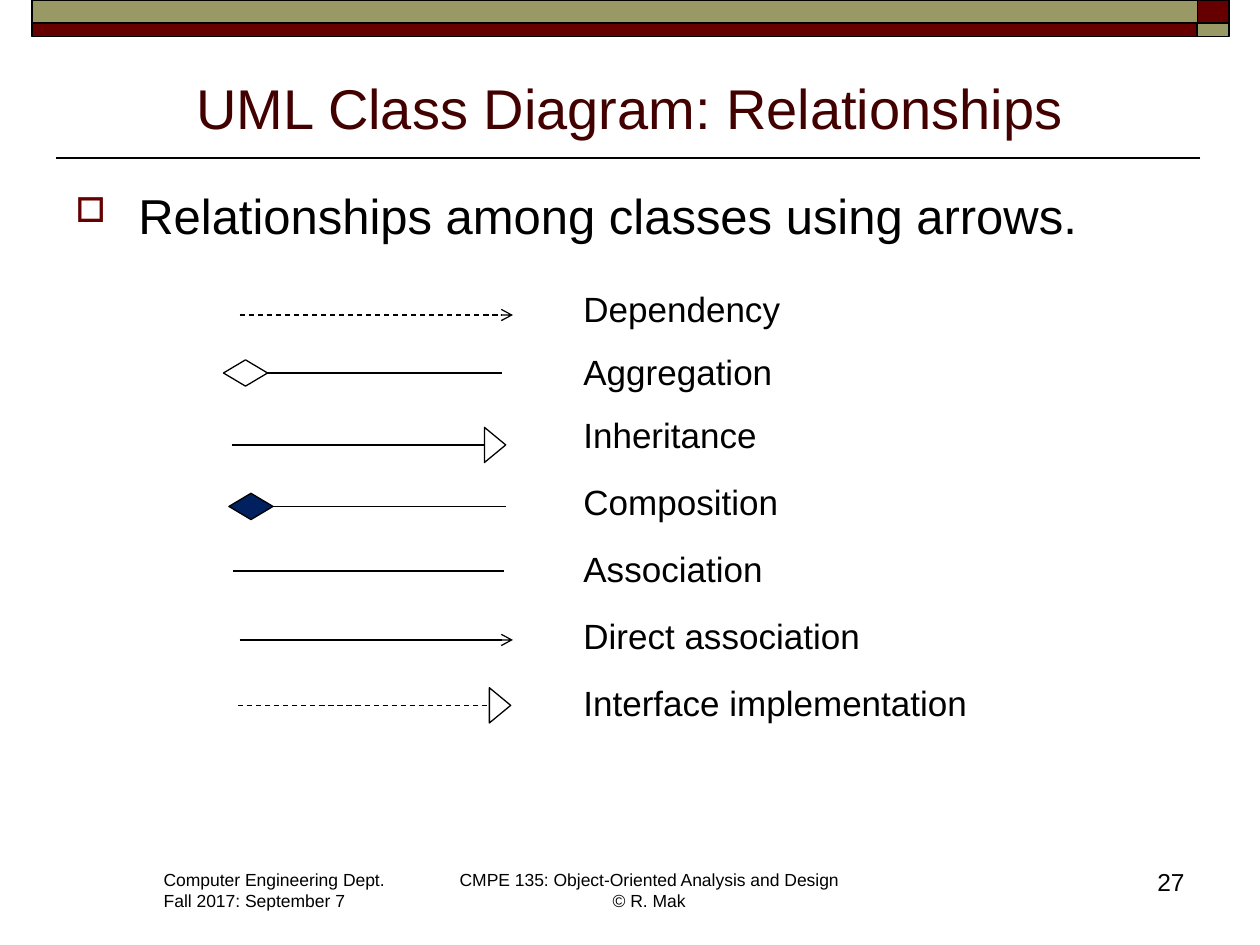
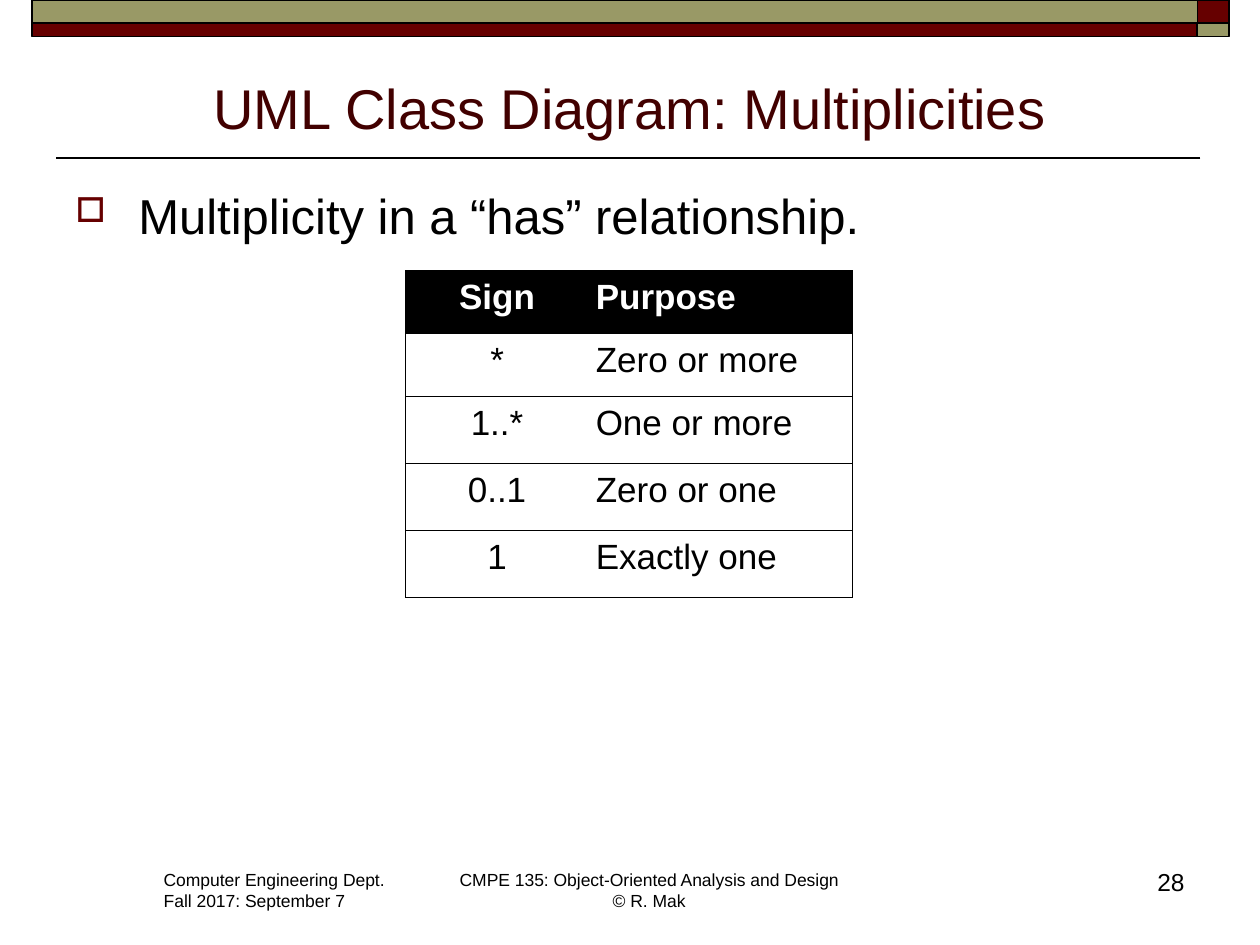
import dataclasses
import pptx
import pptx.dml.color
import pptx.enum.dml
import pptx.enum.shapes
import pptx.enum.text
import pptx.oxml.ns
import pptx.util
from lxml import etree

Cm = pptx.util.Cm
Pt = pptx.util.Pt
RGB = pptx.dml.color.RGBColor.from_string
Shape = pptx.enum.shapes.MSO_SHAPE
Align = pptx.enum.text.PP_ALIGN
qn = pptx.oxml.ns.qn


@dataclasses.dataclass(frozen=True)
class Theme:
    """Colours, font and type sizes of the deck."""
    font: str = "Arial"
    ink: str = "000000"
    paper: str = "FFFFFF"
    maroon: str = "660000"
    olive: str = "999966"
    heading: str = "420000"
    navy: str = "002060"
    title_size: float = 32
    body_size: float = 28
    table_size: float = 20
    number_size: float = 14
    footer_size: float = 10
    hairline: float = 0.75
    frame_line: float = 1


theme = Theme()


def write(frame, text, size, colour=theme.ink, align=Align.LEFT, bold=False):
    """Fill a text frame with text in one style."""
    frame.text = text
    for paragraph in frame.paragraphs:
        paragraph.alignment = align
        paragraph.font.name = theme.font
        paragraph.font.size = Pt(size)
        paragraph.font.bold = bold
        paragraph.font.color.rgb = RGB(colour)


def draw_line(slide, start, end, y, width, dashed=False, arrow=False):
    """Draw a horizontal line without shadow; positions are in cm."""
    line = slide.shapes.add_connector(
        pptx.enum.shapes.MSO_CONNECTOR.STRAIGHT, Cm(start), Cm(y), Cm(end), Cm(y))
    line.line.color.rgb = RGB(theme.ink)
    line.line.width = Pt(width)
    if dashed:
        line.line.dash_style = pptx.enum.dml.MSO_LINE.DASH
    properties = line._element.spPr
    if arrow:
        etree.SubElement(properties.find(qn("a:ln")), qn("a:tailEnd"), type="arrow")
    etree.SubElement(properties, qn("a:effectLst"))


# left, top, width, height, colour
bands = [
    (24.13, 0, 0.64, 0.46, theme.maroon),
    (0.64, 0, 23.5, 0.46, theme.olive),
    (0.64, 0.46, 23.5, 0.28, theme.maroon),
    (24.13, 0.46, 0.64, 0.28, theme.olive),
]

relationships = ["Dependency", "Aggregation", "Inheritance", "Composition",
                 "Association", "Direct association", "Interface implementation"]
multiplicities = [("Sign", "Purpose"), ("*", "Zero or more"), ("1..*", "One or more"),
                  ("0..1", "Zero or one"), ("1", "Exactly one")]
pages = [
    dict(number="27", title="UML Class Diagram: Relationships",
         point="Relationships among classes using arrows.",
         rows=[("", name) for name in relationships],
         corner=(4.19, 5.72), columns=(7.42, 9.73), ruled=False),
    dict(number="28", title="UML Class Diagram: Multiplicities",
         point="Multiplicity in a “has” relationship.",
         rows=multiplicities,
         corner=(8.18, 5.46), columns=(3.68, 5.33), ruled=True),
]

# start, end, height of the line, dashed, symbol
arrows = [
    (4.83, 10.34, 6.35, True, "arrow"),
    (5.38, 10.11, 7.52, False, "hollow diamond"),
    (4.67, 9.78, 8.97, False, "triangle"),
    (5.49, 10.21, 10.21, False, "filled diamond"),
    (4.7, 10.16, 11.51, False, None),
    (4.83, 10.34, 12.9, False, "arrow"),
    (4.8, 9.88, 14.22, True, "triangle"),
]

deck = pptx.Presentation()
deck.slide_width, deck.slide_height = Cm(25.4), Cm(19.05)

for page in pages:
    slide = deck.slides.add_slide(deck.slide_layouts[6])

    # Header bands and rule
    draw_line(slide, 24.2, 1.12, 3.18, theme.frame_line)
    for left, top, width, height, colour in bands:
        band = slide.shapes.add_shape(
            Shape.RECTANGLE, Cm(left), Cm(top), Cm(width), Cm(height))
        band.shadow.inherit = False
        band.fill.solid()
        band.fill.fore_color.rgb = RGB(colour)
        band.line.color.rgb = RGB(theme.ink)
        band.line.width = Pt(theme.frame_line)

    # Footers, page number, bullet point and title; the title comes last
    texts = [
        ((3.05, 17.4, 5, 1.12), "Computer Engineering Dept.\nFall 2017: September 7",
         theme.footer_size, theme.ink, Align.LEFT, False),
        ((8.97, 17.4, 8.23, 1.12),
         "CMPE 135: Object-Oriented Analysis and Design\v© R. Mak",
         theme.footer_size, theme.ink, Align.CENTER, False),
        ((22.61, 17.35, 1.52, 1.27), page["number"],
         theme.number_size, theme.ink, Align.RIGHT, True),
        ((1.27, 3.61, 22.86, 13.44), page["point"],
         theme.body_size, theme.ink, Align.LEFT, True),
        ((1.27, 1.14, 22.86, 1.83), page["title"],
         theme.title_size, theme.heading, Align.CENTER, True),
    ]
    frames = []
    for box, text, size, colour, align, wrap in texts:
        frame = slide.shapes.add_textbox(*map(Cm, box)).text_frame
        frame.word_wrap = wrap
        write(frame, text, size, colour, align)
        frames.append(frame)
    point, title = frames[-2:]
    title.vertical_anchor = pptx.enum.text.MSO_ANCHOR.BOTTOM

    # Square bullet with hanging indent
    paragraph = point.paragraphs[0]
    paragraph.space_before = Pt(theme.body_size * 0.2)
    properties = paragraph._p.get_or_add_pPr()
    properties.set("marL", str(Cm(1.27)))
    properties.set("indent", str(-Cm(1.27)))
    bullet_colour = etree.Element(qn("a:buClr"))
    etree.SubElement(bullet_colour, qn("a:srgbClr"), val=theme.maroon)
    bullet_size = etree.Element(qn("a:buSzPct"), val="70000")
    bullet_sign = etree.Element(qn("a:buChar"), char="□")
    for part in (bullet_colour, bullet_size, bullet_sign):
        properties.find(qn("a:defRPr")).addprevious(part)

    # Table: the first two rows are slightly lower than the others
    rows, columns, ruled = page["rows"], page["columns"], page["ruled"]
    heights = [1.27 if index < 2 else 1.35 for index in range(len(rows))]
    table = slide.shapes.add_table(
        len(rows), len(columns), *map(Cm, page["corner"]),
        Cm(sum(columns)), Cm(sum(heights))).table
    table.first_row = table.horz_banding = False
    for column, width in zip(table.columns, columns):
        column.width = Cm(width)
    for row_index, row in enumerate(rows):
        table.rows[row_index].height = Cm(heights[row_index])
        header = ruled and row_index == 0
        for column_index, text in enumerate(row):
            cell = table.cell(row_index, column_index)
            cell.margin_left = cell.margin_right = Cm(0.15)
            cell.margin_top = cell.margin_bottom = Cm(0.15)
            write(cell.text_frame, text, theme.table_size,
                  theme.paper if header else theme.ink,
                  Align.CENTER if column_index == 0 else Align.LEFT, header)
            inner_side = "lnR" if column_index == 0 else "lnL"
            for side in ("lnL", "lnR", "lnT", "lnB"):
                border = etree.SubElement(cell._tc.get_or_add_tcPr(), qn("a:" + side),
                                          w=str(Pt(theme.hairline)))
                if ruled and side != inner_side:
                    paint = etree.SubElement(border, qn("a:solidFill"))
                    etree.SubElement(paint, qn("a:srgbClr"), val=theme.ink)
                else:
                    etree.SubElement(border, qn("a:noFill"))
            cell.fill.solid()
            cell.fill.fore_color.rgb = RGB(theme.ink if header else theme.paper)

# Relationship arrows beside their names
diagram = deck.slides[0]
for start, end, y, dashed, symbol in arrows:
    draw_line(diagram, start, end, y, theme.hairline, dashed, symbol == "arrow")
    if symbol in (None, "arrow"):
        continue
    if symbol == "triangle":
        kind, centre, width, height = Shape.ISOSCELES_TRIANGLE, end + 0.2, 0.71, 0.43
    else:
        kind, centre, width, height = Shape.DIAMOND, start - 0.43, 0.89, 0.53
    head = diagram.shapes.add_shape(
        kind, Cm(centre - width / 2), Cm(y - height / 2), Cm(width), Cm(height))
    head.shadow.inherit = False
    head.rotation = 90 if symbol == "triangle" else 0
    if symbol == "filled diamond":
        head.fill.solid()
        head.fill.fore_color.rgb = RGB(theme.navy)
    else:
        head.fill.background()
    head.line.color.rgb = RGB(theme.ink)
    head.line.width = Pt(theme.hairline)

deck.save("out.pptx")
